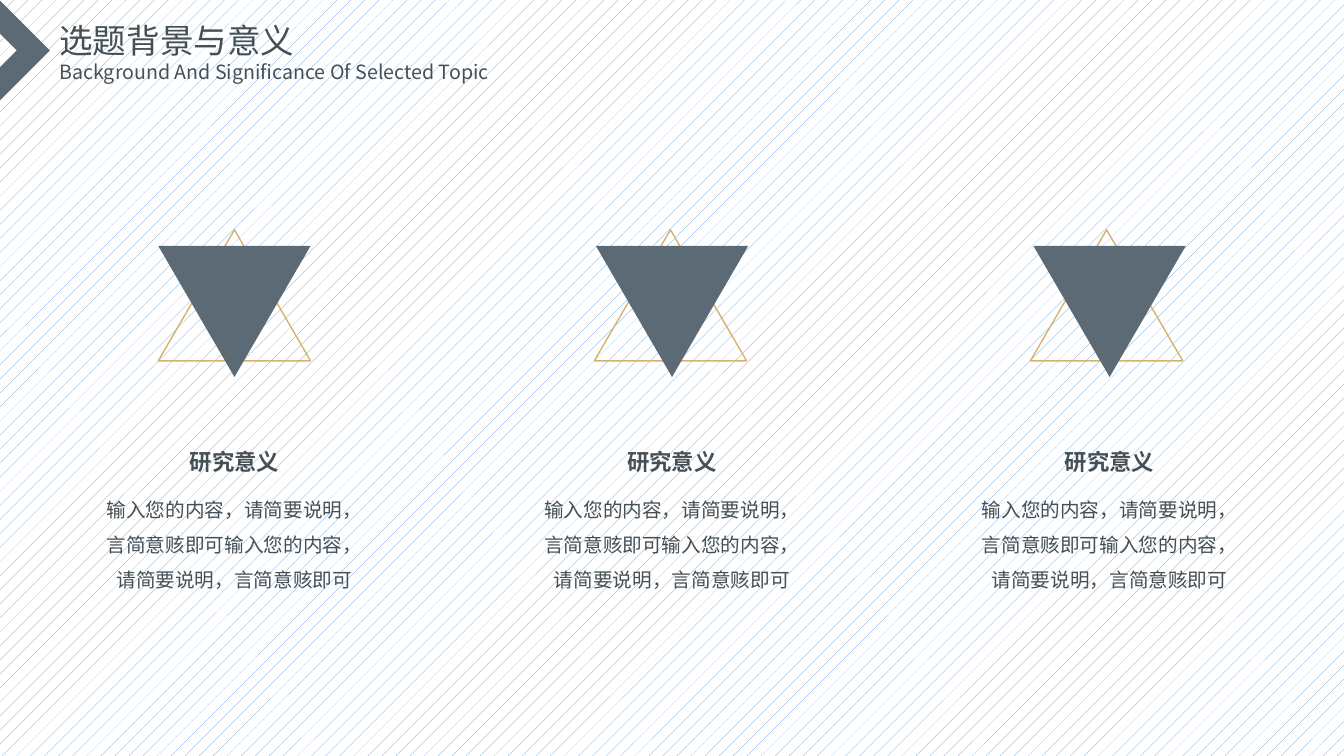
from dataclasses import dataclass

from pptx import Presentation
from pptx import util as u
from pptx.dml.color import RGBColor
from pptx.enum import dml, shapes, text
from pptx.oxml.ns import qn
from pptx.shapes.autoshape import Shape
from pptx.slide import Slide
from lxml import etree

COLORS = {"slate": "5B6A74", "gold": "D7B26C", "ink": "444F56",
          "dots": "5B9BD5", "paper": "FFFFFF"}
FONT = "Noto Sans CJK SC"
TRIANGLE_WIDTH, TRIANGLE_HEIGHT = 1.51, 1.3
FIRST_CENTER, COLUMN_STEP, OUTLINE_STEP = 2.325, 4.34, 4.325


@dataclass(frozen=True)
class Topic:
    heading: str
    body: str


TOPICS = [Topic("研究意义", "输入您的内容，请简要说明，言简意赅即可"
                "输入您的内容，请简要说明，言简意赅即可")] * 3


def color(name: str) -> RGBColor:
    return RGBColor.from_string(COLORS[name])


def add_text(page: Slide, words: str, left: float, top: float, width: float,
             height: float, *, size: int, bold: bool = False,
             centered: bool = False, spacing: float = 1.0) -> None:
    box = page.shapes.add_textbox(u.Inches(left), u.Inches(top),
                                  u.Inches(width), u.Inches(height))
    frame = box.text_frame
    frame.word_wrap = True
    frame.auto_size = text.MSO_AUTO_SIZE.SHAPE_TO_FIT_TEXT
    para = frame.paragraphs[0]
    para.alignment = text.PP_ALIGN.CENTER if centered else text.PP_ALIGN.LEFT
    para.line_spacing = spacing
    span = para.add_run()
    span.text = words
    span.font.size = u.Pt(size)
    span.font.bold = bold
    span.font.name = FONT
    span.font.color.rgb = color("ink")
    east_asian = etree.SubElement(span.font._element, qn("a:ea"))
    east_asian.set("typeface", FONT)


def add_figure(page: Slide, kind: shapes.MSO_SHAPE, left: float, top: float,
               width: float, height: float, *, fill: str | None = None,
               line: str | None = None, rotation: float = 0) -> Shape:
    shape = page.shapes.add_shape(kind, u.Inches(left), u.Inches(top),
                                  u.Inches(width), u.Inches(height))
    shape.shadow.inherit = False
    shape.rotation = rotation
    if fill:
        shape.fill.solid()
        shape.fill.fore_color.rgb = color(fill)
    else:
        shape.fill.background()
    if line:
        shape.line.color.rgb = color(line)
        shape.line.width = u.Pt(1)
    else:
        shape.line.fill.background()
    return shape


def add_topic(page: Slide, index: int, topic: Topic) -> None:
    center = FIRST_CENTER + index * COLUMN_STEP
    outline_center = FIRST_CENTER + index * OUTLINE_STEP
    half = TRIANGLE_WIDTH / 2
    triangle = shapes.MSO_SHAPE.ISOSCELES_TRIANGLE
    add_figure(page, triangle, outline_center - half, 2.28,
               TRIANGLE_WIDTH, TRIANGLE_HEIGHT, line="gold")
    add_figure(page, triangle, center - half, 2.44,
               TRIANGLE_WIDTH, TRIANGLE_HEIGHT, fill="slate", rotation=180)
    add_text(page, topic.heading, center - 2.11 / 2, 4.4, 2.11, 0.37,
             size=16, bold=True, centered=True)
    add_text(page, topic.body, center - 2.87 / 2, 4.77, 2.87, 1.16,
             size=14, centered=True, spacing=1.5)


def main() -> None:
    deck = Presentation()
    deck.slide_width, deck.slide_height = u.Inches(13.33), u.Inches(7.5)
    page = deck.slides.add_slide(deck.slide_layouts[6])
    backdrop = page.background.fill
    backdrop.patterned()
    backdrop.pattern = dml.MSO_PATTERN.PERCENT_5
    backdrop.fore_color.rgb = color("dots")
    backdrop.back_color.rgb = color("paper")

    add_figure(page, shapes.MSO_SHAPE.HALF_FRAME, -0.35, 0.15, 0.7, 0.7,
               fill="slate", rotation=135)
    add_text(page, "选题背景与意义", 0.49, 0.15, 2.73, 0.5, size=24)
    add_text(page, "Background And Significance Of Selected Topic",
             0.49, 0.55, 5.29, 0.34, size=14)
    for index, topic in enumerate(TOPICS):
        add_topic(page, index, topic)
    deck.save("out.pptx")


if __name__ == "__main__":
    main()
